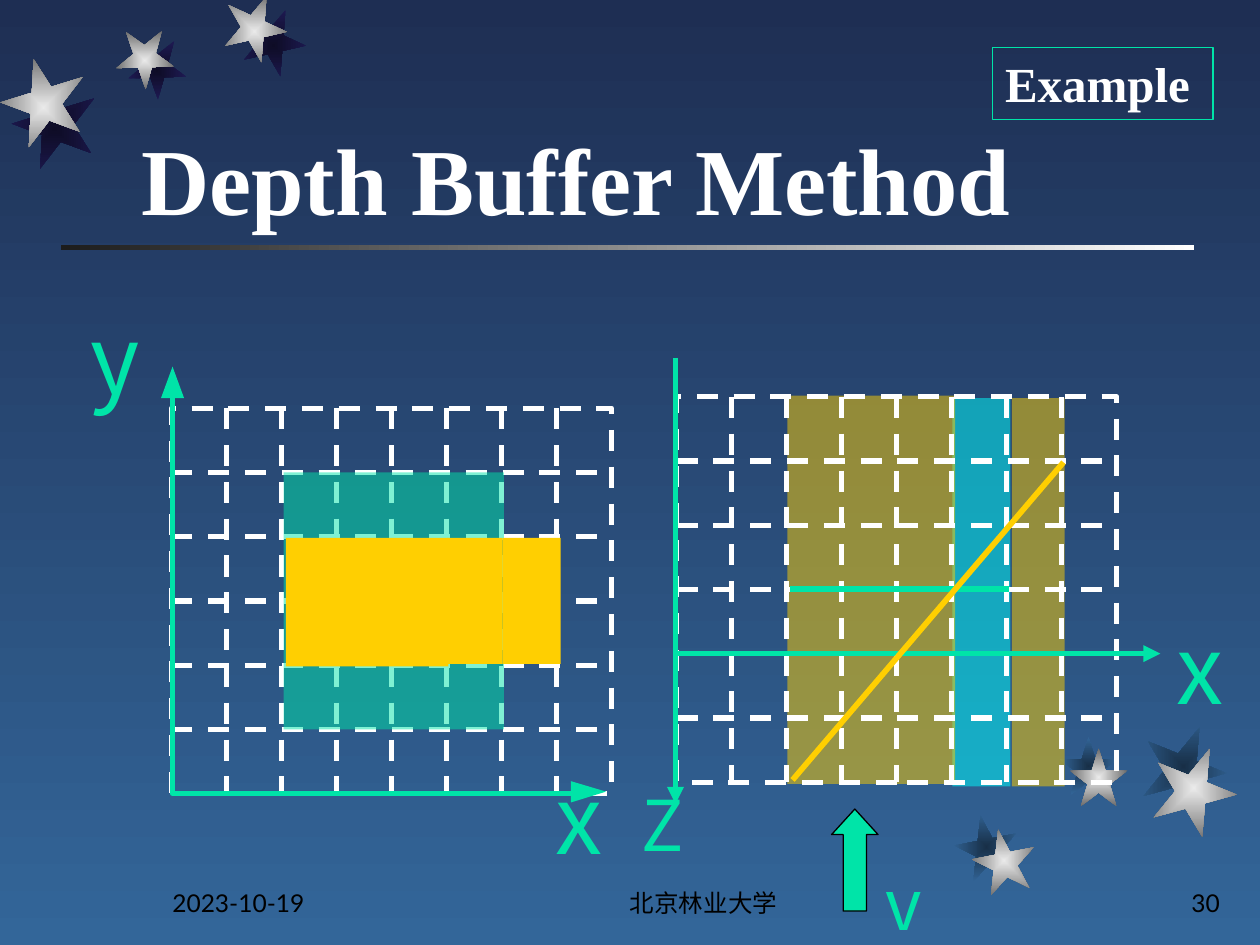
from lxml import etree
from pptx import Presentation
from pptx.dml.color import RGBColor
from pptx.enum.dml import MSO_LINE
from pptx.enum.shapes import MSO_CONNECTOR, MSO_SHAPE
from pptx.enum.text import MSO_ANCHOR, MSO_AUTO_SIZE, PP_ALIGN
from pptx.oxml.ns import qn
from pptx.util import Pt

RECTANGLE, STAR, UP_ARROW = MSO_SHAPE.RECTANGLE, MSO_SHAPE.STAR_5_POINT, MSO_SHAPE.UP_ARROW
STRAIGHT, DASH = MSO_CONNECTOR.STRAIGHT, MSO_LINE.DASH
TOP, MIDDLE, BOTTOM = MSO_ANCHOR.TOP, MSO_ANCHOR.MIDDLE, MSO_ANCHOR.BOTTOM
LEFT, CENTER, RIGHT = PP_ALIGN.LEFT, PP_ALIGN.CENTER, PP_ALIGN.RIGHT

NIGHT, DAWN = RGBColor(0x1E, 0x2E, 0x53), RGBColor(0x33, 0x66, 0x99)
CHARCOAL, WHITE, BLACK = RGBColor(0x1C, 0x1C, 0x1C), RGBColor(255, 255, 255), RGBColor(0, 0, 0)
SILVER, STEEL = RGBColor(0xEA, 0xEA, 0xEA), RGBColor(0x6C, 0x6C, 0x6C)
INK, INDIGO = RGBColor(0x0E, 0x0C, 0x26), RGBColor(0x1E, 0x1A, 0x53)
DEEP_BLUE = RGBColor(0x18, 0x2F, 0x47)
GREEN, YELLOW, CYAN = RGBColor(0, 0xE4, 0xA8), RGBColor(0xFF, 0xCF, 0x01), RGBColor(0, 255, 255)

SERIF, SANS, LABEL_FONT = "Times New Roman", "Lato", "Noto Sans CJK SC"
COLUMNS, ROWS = 8, 6
CELL_WIDTH, CELL_HEIGHT = 31.45, 36.7

# left, top, size, rotation, shadow offset x, shadow offset y
UPPER_STARS = [(127.4, 0, 36, 167.3, 10.8, 7.9),
               (66.2, 18, 33.1, 178.3, 7, 5.8),
               (0.7, 37.4, 48.2, 200.3, 6.5, 12.2)]
LOWER_STARS = [(555.8, 473.8, 36, 349, -10.1, -7.9),
               (611.3, 427.7, 33.1, 0, -5.8, -6.5),
               (658.1, 426.2, 48.2, 22, -5.8, -12.2)]


def set_gradient(fill, start, end, angle=0):
    fill.gradient()
    fill.gradient_angle = angle
    for stop, color in zip(fill.gradient_stops, (start, end)):
        stop.color.rgb = color


def add_block(shapes, kind, left, top, width, height, color=None, alpha=None):
    """Add a preset shape without line or shadow; alpha is a percentage."""
    block = shapes.add_shape(kind, Pt(left), Pt(top), Pt(width), Pt(height))
    block.shadow.inherit = False
    block.line.fill.background()
    if color is None:
        block.fill.background()
    else:
        block.fill.solid()
        block.fill.fore_color.rgb = color
    if alpha is not None:
        rgb = block._element.spPr.find(f"{qn('a:solidFill')}/{qn('a:srgbClr')}")
        etree.SubElement(rgb, qn("a:alpha"), val=str(alpha * 1000))
    return block


def add_star(shapes, left, top, size, rotation, center_color, edge_color):
    star = add_block(shapes, STAR, left, top, size, size)
    star.rotation = rotation
    set_gradient(star.fill, center_color, edge_color)
    gradient = star._element.spPr.find(qn("a:gradFill"))
    gradient.remove(gradient.find(qn("a:lin")))
    radial = etree.SubElement(gradient, qn("a:path"), {"path": "rect"})
    etree.SubElement(radial, qn("a:fillToRect"), l="50000", t="50000", r="50000", b="50000")


def add_stars(shapes, stars, shadow_center, shadow_edge):
    for left, top, size, rotation, dx, dy in stars:
        add_star(shapes, left + dx, top + dy, size, rotation, shadow_center, shadow_edge)
    for left, top, size, rotation, _, _ in stars:
        add_star(shapes, left, top, size, rotation, SILVER, STEEL)


def add_line(shapes, x1, y1, x2, y2, color, width=3.25, arrow=False):
    line = shapes.add_connector(STRAIGHT, Pt(x1), Pt(y1), Pt(x2), Pt(y2))
    line.line.color.rgb = color
    line.line.width = Pt(width)
    if arrow:
        etree.SubElement(line.line._get_or_add_ln(), qn("a:tailEnd"), type="triangle")
    etree.SubElement(line._element.spPr, qn("a:effectLst"))
    return line


def add_grid(shapes, left, top):
    """Add a dashed frame with its inner lines; middle lines are joined to the frame."""
    right, bottom = left + COLUMNS * CELL_WIDTH, top + ROWS * CELL_HEIGHT
    frame = add_block(shapes, RECTANGLE, left, top, right - left, bottom - top)
    frame.line.color.rgb = WHITE
    frame.line.width = Pt(3)
    frame.line.dash_style = DASH
    for row in range(1, ROWS):
        y = top + row * CELL_HEIGHT
        line = add_line(shapes, left, y, right, y, WHITE, 3)
        line.line.dash_style = DASH
        if row * 2 == ROWS:
            line.begin_connect(frame, 1)
            line.end_connect(frame, 3)
    for column in range(1, COLUMNS):
        x = left + column * CELL_WIDTH
        line = add_line(shapes, x, top, x, bottom, WHITE, 3)
        line.line.dash_style = DASH
        if column * 2 == COLUMNS:
            line.begin_connect(frame, 0)
            line.end_connect(frame, 2)


def add_outline(shapes, points, closed):
    """Add a green filled polygon, or a green open line."""
    start, *rest = [(Pt(x), Pt(y)) for x, y in points]
    builder = shapes.build_freeform(*start)
    builder.add_line_segments(rest, close=closed)
    outline = builder.convert_to_shape()
    outline.shadow.inherit = False
    if closed:
        outline.fill.solid()
        outline.fill.fore_color.rgb = GREEN
        outline.line.fill.background()
    else:
        outline.fill.background()
        outline.line.color.rgb = GREEN
        outline.line.width = Pt(3)


def write(shape, text, size, font, color, align=LEFT, anchor=TOP, bold=False):
    frame = shape.text_frame
    frame.word_wrap = True
    frame.auto_size = MSO_AUTO_SIZE.NONE
    frame.vertical_anchor = anchor
    frame.text = text
    paragraph = frame.paragraphs[0]
    paragraph.alignment = align
    run_font = paragraph.runs[0].font
    run_font.size, run_font.name, run_font.bold = Pt(size), font, bold
    run_font.color.rgb = color


def add_axis_label(shapes, text, left, top, width, size=54):
    label = shapes.add_textbox(Pt(left), Pt(top), Pt(width), Pt(size * 1.2))
    write(label, text, size, LABEL_FONT, GREEN)
    frame = label.text_frame
    frame.word_wrap = False
    frame.margin_left = frame.margin_right = frame.margin_top = frame.margin_bottom = 0


def add_footer(shapes, text, left, width, align):
    footer = shapes.add_textbox(Pt(left), Pt(492), Pt(width), Pt(36))
    write(footer, text, 14, SANS, BLACK, align, BOTTOM)


def add_heading(shapes):
    underline = add_block(shapes, RECTANGLE, 34.6, 140.2, 648, 2.6)
    set_gradient(underline.fill, CHARCOAL, WHITE)
    title = shapes.title
    title.left, title.top, title.width, title.height = Pt(73.4), Pt(22.3), Pt(523.4), Pt(115.2)
    write(title, "Depth Buffer Method", 54, SERIF, WHITE, anchor=BOTTOM, bold=True)
    tag = add_block(shapes, RECTANGLE, 567.2, 27.2, 126, 41)
    tag.line.color.rgb = GREEN
    tag.line.width = Pt(0.75)
    write(tag, "Example", 28, SERIF, WHITE, bold=True)


def add_front_view(shapes):
    add_grid(shapes.add_group_shape().shapes, 97.9, 233.3)
    add_block(shapes, RECTANGLE, 162, 270, 126, 146.9, GREEN, 50)
    add_axis_label(shapes, "y", 51.8, 171.4, 27.4)
    add_axis_label(shapes, "x", 317.5, 434.2, 28.8)
    add_outline(shapes, [(332, 453.4), (98.6, 453.4), (98.6, 227)], False)
    add_outline(shapes, [(326.2, 446.4), (346.3, 452.4), (326.2, 458.6)], True)
    add_outline(shapes, [(92, 227.5), (98.6, 209.5), (105.2, 227.5)], True)
    for left, width, height in ((163.4, 92.9, 73.4), (255.6, 31.7, 72), (287.3, 33.1, 72)):
        add_block(shapes, RECTANGLE, left, 307.4, width, height, YELLOW)


def add_top_view(shapes):
    add_block(shapes, RECTANGLE, 544.3, 227.5, 33.1, 221.8, CYAN, 50)
    add_block(shapes, RECTANGLE, 578.2, 227.5, 30.2, 221.8, YELLOW, 50)
    add_block(shapes, RECTANGLE, 450, 226.1, 95.8, 221.8, YELLOW, 50)
    add_grid(shapes, 386.6, 226.8)
    add_axis_label(shapes, "Z", 366.5, 446.4, 23, 40)
    add_axis_label(shapes, "x", 672.5, 348.5, 28.8)
    add_line(shapes, 386, 204.5, 386, 459.4, GREEN, arrow=True)
    add_line(shapes, 385.2, 373.5, 663.1, 373.5, GREEN, arrow=True)
    add_line(shapes, 451.4, 336.6, 576.7, 336.6, GREEN)
    add_line(shapes, 452.9, 445.7, 607.7, 264.2, YELLOW)
    view_arrow = add_block(shapes, UP_ARROW, 475.2, 462.3, 26.6, 58.3, GREEN)
    view_arrow.adjustments[0], view_arrow.adjustments[1] = 0.5, 0.55
    view_arrow.line.color.rgb = BLACK
    view_arrow.line.width = Pt(0.75)
    add_axis_label(shapes, "v", 506.2, 491.8, 20.2, 40)


def main():
    presentation = Presentation()
    presentation.slide_width, presentation.slide_height = Pt(720), Pt(540)
    slide = presentation.slides.add_slide(presentation.slide_layouts[5])
    set_gradient(slide.background.fill, NIGHT, DAWN, 270)
    shapes = slide.shapes
    add_stars(shapes, UPPER_STARS, INK, INDIGO)
    add_stars(shapes, LOWER_STARS, DEEP_BLUE, DAWN)
    add_heading(shapes)
    add_footer(shapes, "2023-10-19", 91.4, 149.8, LEFT)
    add_footer(shapes, "北京林业大学", 288, 228.2, CENTER)
    add_footer(shapes, "30", 554.4, 149.8, RIGHT)
    add_top_view(shapes)
    add_front_view(shapes)
    presentation.save("out.pptx")


if __name__ == "__main__":
    main()
